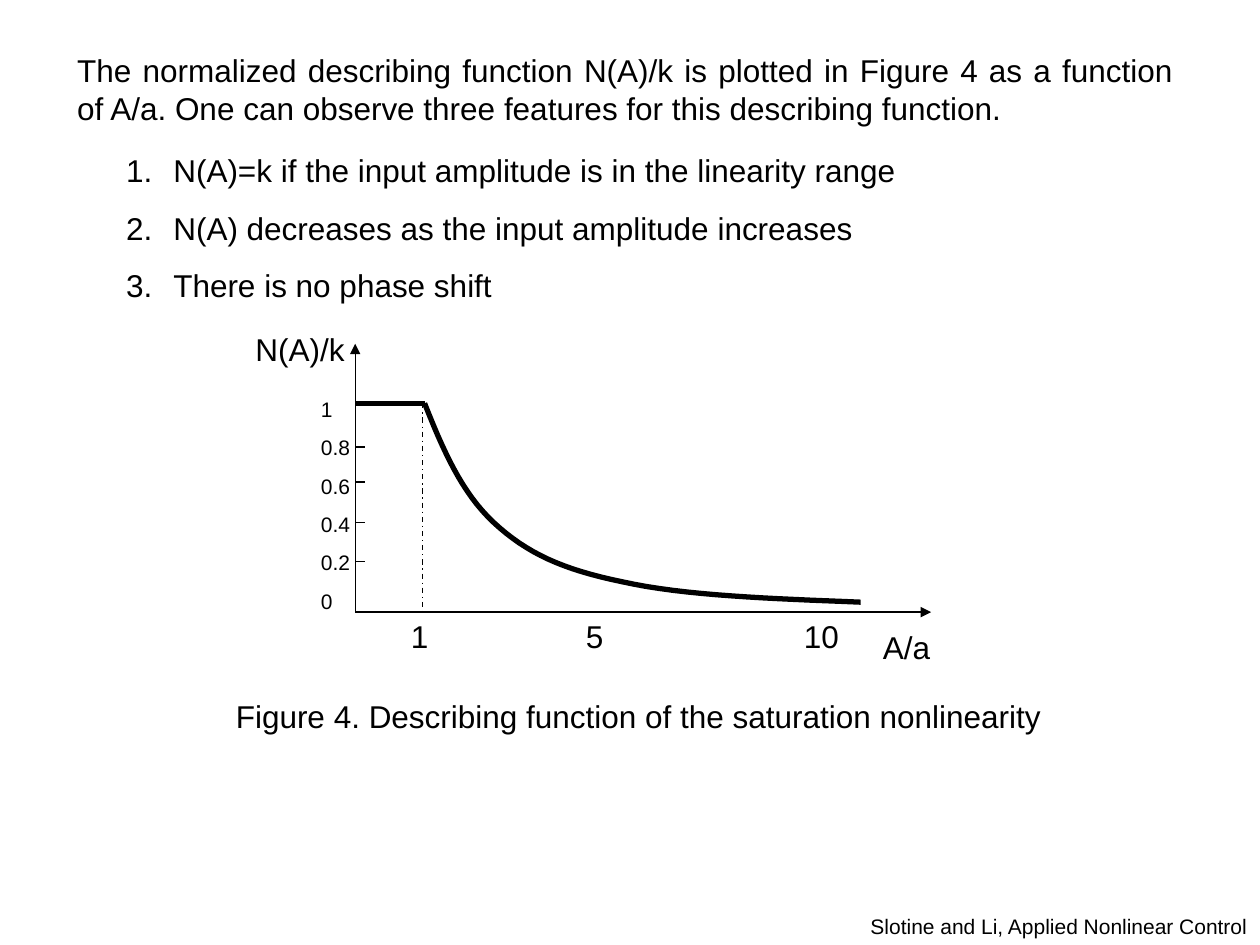
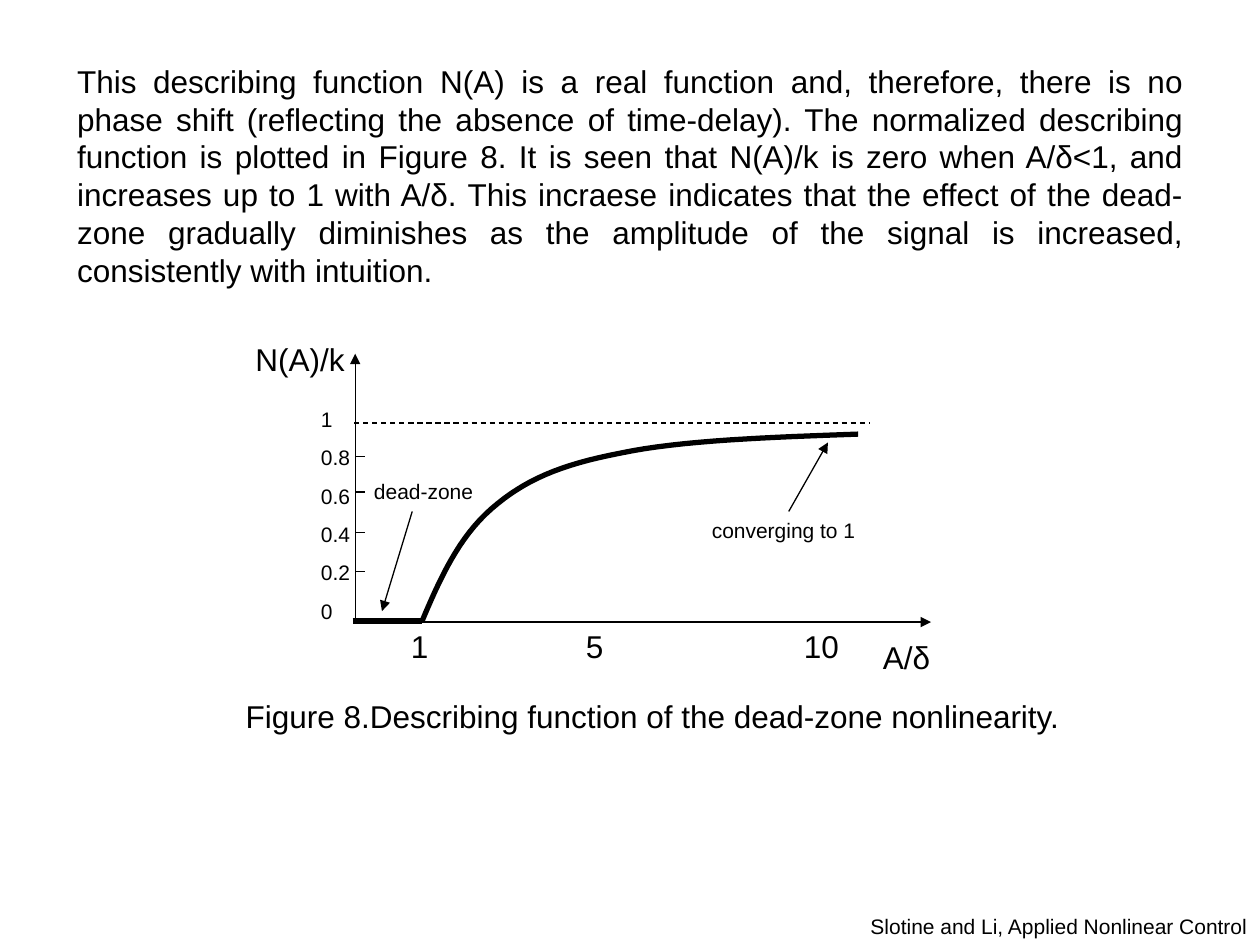
from dataclasses import dataclass
from lxml import etree
from pptx import Presentation
from pptx.dml.color import RGBColor
from pptx.enum.dml import MSO_LINE
from pptx.enum.shapes import MSO_CONNECTOR
from pptx.enum.text import MSO_ANCHOR, MSO_AUTO_SIZE, PP_ALIGN
from pptx.oxml.ns import qn
from pptx.util import Cm, Pt

LEFT, RIGHT, MID, JUST = PP_ALIGN.LEFT, PP_ALIGN.RIGHT, PP_ALIGN.CENTER, PP_ALIGN.JUSTIFY
TOP, FIXED = MSO_ANCHOR.TOP, MSO_AUTO_SIZE.NONE
STRAIGHT = MSO_CONNECTOR.STRAIGHT
DASH, DOT = MSO_LINE.DASH, MSO_LINE.DASH_DOT


@dataclass
class Theme:
    font: str = "Arial"
    ink: RGBColor = RGBColor(0, 0, 0)
    text: int = 18
    small: int = 12
    thin: float = 0.75
    thick: float = 3
    lead: float = 0.625


theme = Theme()


def write(shape, box, lines, size=theme.text, align=LEFT, listed=False):
    shape.left, shape.top, shape.width, shape.height = [Cm(v) for v in box]
    frame = shape.text_frame
    frame.word_wrap = True
    frame.auto_size = FIXED
    frame.vertical_anchor = TOP
    for i, line in enumerate(lines):
        para = frame.paragraphs[0] if i == 0 else frame.add_paragraph()
        para.alignment = align
        para.space_before = Pt(size * theme.lead)
        props = para._p.get_or_add_pPr()
        props.set("marL", str(Cm(0.95) if listed else 0))
        props.set("indent", str(Cm(-0.95) if listed else 0))
        if listed:
            etree.SubElement(props, qn("a:buFont")).set("typeface", theme.font)
            etree.SubElement(props, qn("a:buAutoNum")).set("type", "arabicPeriod")
        else:
            etree.SubElement(props, qn("a:buNone"))
        run = para.add_run()
        run.text = line
        run.font.name = theme.font
        run.font.size = Pt(size)
        run.font.color.rgb = theme.ink


def link(shapes, start, end, width=theme.thin, dash=None, arrow=False):
    line = shapes.add_connector(STRAIGHT, *[Cm(v) for v in (*start, *end)])
    line.line.color.rgb = theme.ink
    line.line.width = Pt(width)
    if dash:
        line.line.dash_style = dash
    if arrow:
        etree.SubElement(line.line._get_or_add_ln(), qn("a:tailEnd")).set("type", "triangle")
    etree.SubElement(line._element.spPr, qn("a:effectLst"))


pages = [
    dict(
        layout=3,
        bodies=[
            ((1.3, 0.91, 22.61, 1.78), JUST, False, [
                "The normalized describing function N(A)/k is plotted in Figure 4 as a function "
                "of A/a. One can observe three features for this describing function."]),
            ((2.29, 2.92, 21.41, 3.35), LEFT, True, [
                "N(A)=k if the input amplitude is in the linearity range",
                "N(A) decreases as the input amplitude increases",
                "There is no phase shift"]),
        ],
        base=12.34, ratio="A/a", knee=(8.56, 8.13), scale=1,
        guide=((8.51, 8.13), (8.51, 12.34), DOT),
        notes=[],
        title="Figure 4. Describing function of the saturation nonlinearity",
        place=(4.5, 13.92, 20.19, 1.02),
    ),
    dict(
        layout=1,
        bodies=[
            ((1.3, 1.12, 22.81, 4.83), JUST, False, [
                "This describing function N(A) is a real function and, therefore, there is no "
                "phase shift (reflecting the absence of time-delay). The normalized describing "
                "function is plotted in Figure 8. It is seen that N(A)/k is zero when A/δ<1, and "
                "increases up to 1 with A/δ. This incraese indicates that the effect of the "
                "dead-zone gradually diminishes as the amplitude of the signal is increased, "
                "consistently with intuition."]),
        ],
        base=12.54, ratio="A/δ", knee=(8.51, 12.52), scale=-0.94,
        guide=((7.14, 8.53), (17.53, 8.53), DASH),
        notes=[
            ("dead-zone", (7.29, 9.53, 3.2, 0.76), (8.31, 10.31), (7.7, 12.32)),
            ("converging to 1", (14.1, 10.31, 7.01, 0.76), (15.9, 10.31), (16.69, 8.92)),
        ],
        title="Figure 8.Describing function of the dead-zone nonlinearity.",
        place=(4.7, 13.92, 17.6, 1.02),
    ),
]

axis = 7.16
levels = ["1", "0.8", "0.6", "0.4", "0.2", "0"]
ticks = [3.33, 2.62, 1.8, 1.02]
marks = [("1", 8.46), ("5", 11.99), ("10", 16.56)]
bend = [(0, 0), (0.36, 0.91), (0.74, 1.8), (1.4, 2.41), (2.06, 3.02),
        (2.77, 3.35), (3.99, 3.6), (5.23, 3.88), (7.01, 3.94), (8.79, 4.01)]
steps = 16
curve = []
for i in range(0, len(bend) - 1, 3):
    for n in range(1, steps + 1):
        t = n / steps
        parts = ((1 - t) ** 3, 3 * t * (1 - t) ** 2, 3 * t * t * (1 - t), t ** 3)
        curve.append([sum(w * p[k] for w, p in zip(parts, bend[i:i + 4])) for k in (0, 1)])

deck = Presentation()
deck.slide_width, deck.slide_height = Cm(25.4), Cm(19.05)

for page in pages:
    slide = deck.slides.add_slide(deck.slide_layouts[page["layout"]])
    shapes = slide.shapes
    base = page["base"]

    write(shapes.title, page["place"], [page["title"]])
    for holder, (box, align, listed, lines) in zip(list(slide.placeholders)[1:], page["bodies"]):
        write(holder, box, lines, align=align, listed=listed)

    link(shapes, (axis, base), (axis, base - 5.41), arrow=True)
    link(shapes, (axis, base), (18.77, base), arrow=True)
    for rise in ticks:
        link(shapes, (axis, base - rise), (axis + 0.2, base - rise))

    x, y = page["knee"]
    link(shapes, (x - 1.4, y), (x, y), theme.thick)
    pen = shapes.build_freeform(Cm(x), Cm(y))
    pen.add_line_segments([(Cm(x + dx), Cm(y + dy * page["scale"])) for dx, dy in curve], close=False)
    path = pen.convert_to_shape()
    path.shadow.inherit = False
    path.fill.background()
    path.line.color.rgb = theme.ink
    path.line.width = Pt(theme.thick)

    start, end, dash = page["guide"]
    link(shapes, start, end, dash=dash)

    labels = [
        ((6.22, base - 4.47, 1.8, 4.62), levels, theme.small, LEFT),
        ((4.9, base - 5.82, 2.59, 1.02), ["N(A)/k"], theme.text, LEFT),
        ((17.55, base + 0.2, 2.59, 1.02), [page["ratio"]], theme.text, LEFT),
        ((16.41, 18.29, 8.99, 0.76), ["Slotine and Li, Applied Nonlinear Control"], theme.small, RIGHT),
    ]
    for mark, mid in marks:
        labels.append(((mid - 0.75, base - 0.03, 1.5, 1.02), [mark], theme.text, MID))
    for note, box, start, end in page["notes"]:
        labels.append((box, [note], theme.small, LEFT))
        link(shapes, start, end, arrow=True)
    for box, lines, size, align in labels:
        write(shapes.add_textbox(0, 0, 0, 0), box, lines, size, align)

deck.save("out.pptx")
